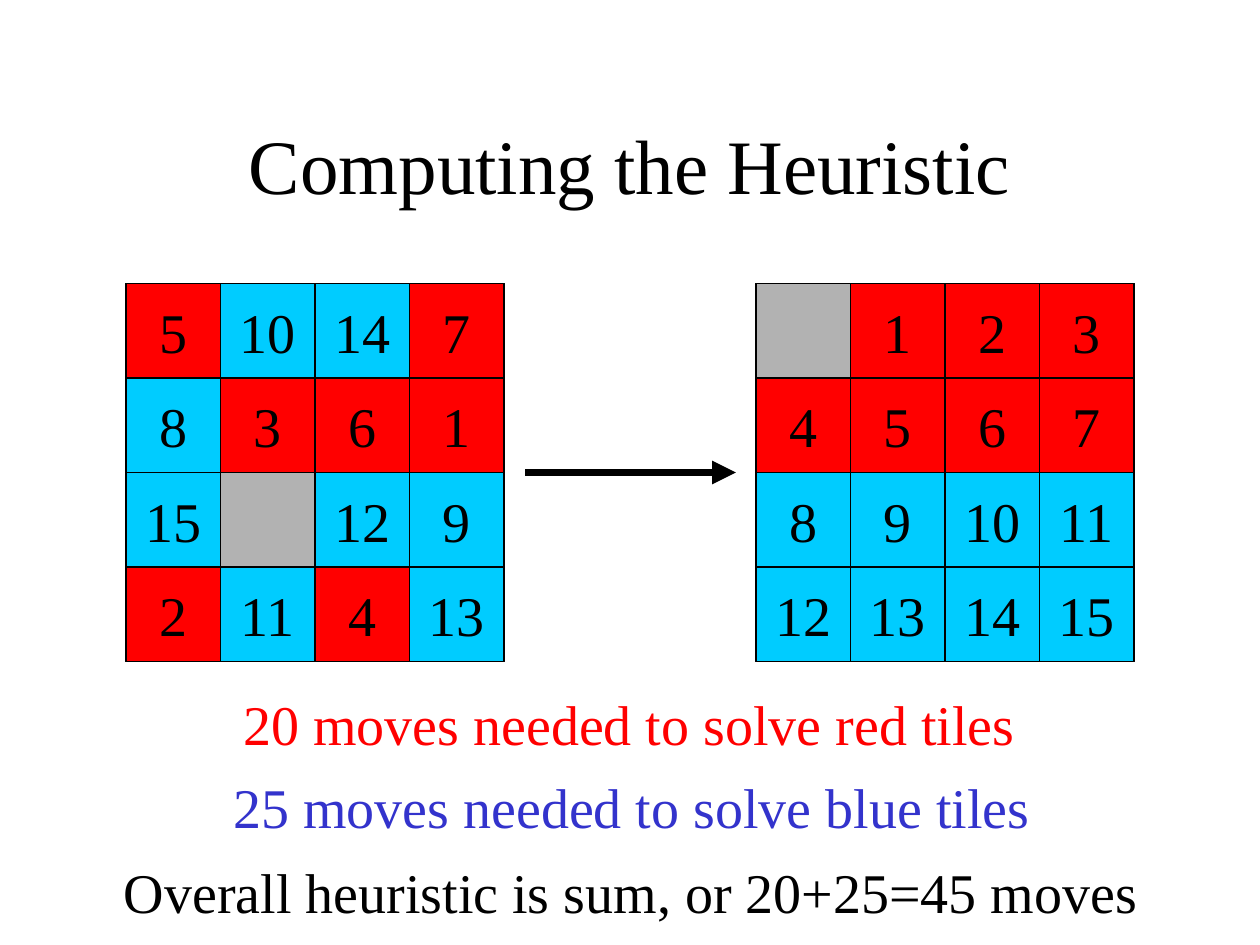
"""Build the slide that computes a heuristic for the fifteen puzzle."""
from lxml import etree
from pptx import Presentation
from pptx import util as u
from pptx.dml.color import RGBColor
from pptx.enum import shapes, text
from pptx.oxml.ns import qn

COLORS = {"black": "000000", "red": "FF0000", "sky": "00CCFF",
          "gray": "B2B2B2", "blue": "3333CC"}
TILE = 0.75
SIDE = 4
BOARD_TOP = 2.25
START = [[5, 10, 14, 7], [8, 3, 6, 1], [15, 0, 12, 9], [2, 11, 4, 13]]
GOAL = [[SIDE * row + col for col in range(SIDE)] for row in range(SIDE)]


def rgb(name):
    return RGBColor.from_string(COLORS[name])


def write(frame, wording, size=32, color="black", font="Times New Roman", wrap=True):
    frame.word_wrap = wrap
    frame.vertical_anchor = text.MSO_ANCHOR.MIDDLE
    paragraph = frame.paragraphs[0]
    paragraph.alignment = text.PP_ALIGN.CENTER
    run = paragraph.add_run()
    run.text = wording
    run.font.size = u.Pt(size)
    run.font.name = font
    run.font.color.rgb = rgb(color)


def tile_color(number):
    if number == 0:
        return "gray"
    return "red" if number < 8 else "sky"


class PuzzleSlide:
    def __init__(self, slide, line_color="black", line_width=0.75):
        self.slide = slide
        self.line_color = line_color
        self.line_width = line_width

    def label(self, wording, left, top, width, height, **style):
        box = self.slide.shapes.add_textbox(*map(u.Inches, (left, top, width, height)))
        write(box.text_frame, wording, **style)

    def square(self, parent, left, top, side, fill=None):
        square = parent.shapes.add_shape(
            shapes.MSO_SHAPE.RECTANGLE, *map(u.Inches, (left, top, side, side)))
        square.shadow.inherit = False
        if fill:
            square.fill.solid()
            square.fill.fore_color.rgb = rgb(fill)
        else:
            square.fill.background()
        square.line.color.rgb = rgb(self.line_color)
        square.line.width = u.Pt(self.line_width)
        return square

    def line(self, parent, start, end, width=None):
        line = parent.shapes.add_connector(
            shapes.MSO_CONNECTOR.STRAIGHT, *map(u.Inches, (*start, *end)))
        line.line.color.rgb = rgb(self.line_color)
        line.line.width = u.Pt(width or self.line_width)
        etree.SubElement(line._element.spPr, qn("a:effectLst"))
        return line

    def arrow(self, start, end, width):
        arrow = self.line(self.slide, start, end, width)
        etree.SubElement(arrow.line._get_or_add_ln(), qn("a:tailEnd"), type="triangle")

    def board(self, left, top, rows):
        board = self.slide.shapes.add_group_shape()
        side = SIDE * TILE
        self.square(board, left, top, side)
        for step in range(1, SIDE):
            x, y = left + step * TILE, top + step * TILE
            self.line(board, (x, top), (x, top + side))
            self.line(board, (left, y), (left + side, y))
        for row, numbers in enumerate(rows):
            for col, number in enumerate(numbers):
                tile = self.square(board, left + col * TILE, top + row * TILE,
                                   TILE, tile_color(number))
                if number:
                    write(tile.text_frame, str(number), wrap=False)


def main():
    deck = Presentation()
    deck.slide_width, deck.slide_height = u.Inches(10), u.Inches(7.5)
    puzzle = PuzzleSlide(deck.slides.add_slide(deck.slide_layouts[6]))
    puzzle.label("Computing the Heuristic", 0.75, 0.67, 8.5, 1.25, size=44)
    puzzle.board(6, BOARD_TOP, GOAL)
    puzzle.board(1, BOARD_TOP, START)
    middle = BOARD_TOP + SIDE * TILE / 2
    puzzle.arrow((4.17, middle), (5.84, middle), width=4.5)
    puzzle.label("Overall heuristic is sum, or 20+25=45 moves", 0.67, 6.75, 8.68, 0.64)
    puzzle.label("20 moves needed to solve red tiles", 1.83, 5.42, 6.33, 0.64,
                 color="red", wrap=False)
    puzzle.label("25 moves needed to solve blue tiles", 1.75, 6.08, 6.53, 0.64,
                 color="blue", wrap=False)
    deck.save("out.pptx")


if __name__ == "__main__":
    main()
